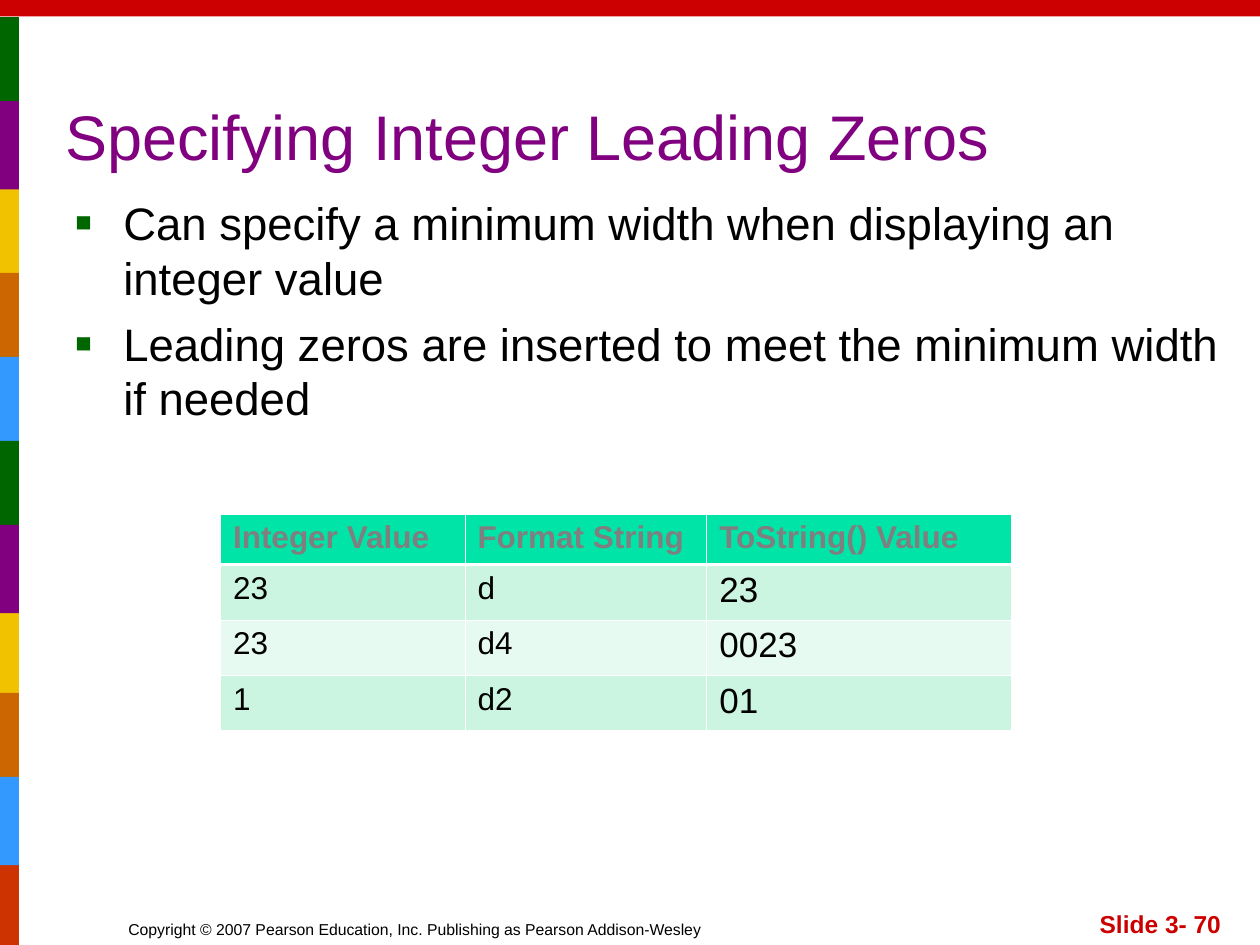
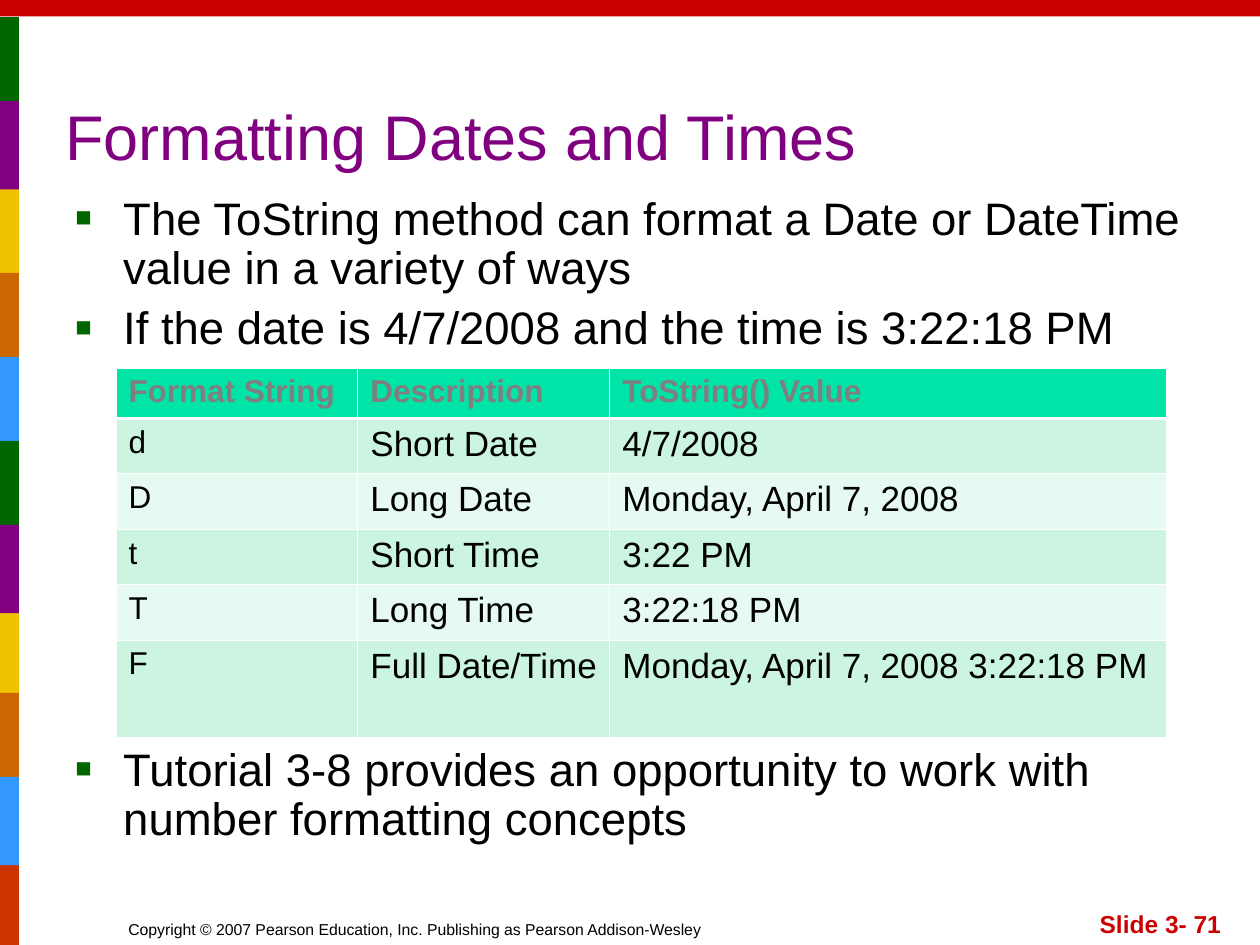
from dataclasses import dataclass
from lxml.etree import SubElement
from pptx import Presentation
from pptx.dml.color import RGBColor
from pptx.enum.shapes import MSO_SHAPE
from pptx.enum.text import MSO_ANCHOR, PP_ALIGN
from pptx.oxml.ns import qn
from pptx.util import Inches, Pt


@dataclass(frozen=True)
class Theme:
    font: str = "Arial"
    black: str = "000000"
    white: str = "FFFFFF"
    red: str = "CC0000"
    green: str = "006600"
    purple: str = "800080"
    yellow: str = "F0C200"
    brown: str = "CC6600"
    blue: str = "3399FF"
    orange: str = "CC3300"
    header_text: str = "7F7F7F"
    header_fill: str = "00E4A8"
    row_fills: tuple = ("CBF5E1", "E7FAF1")
    title_size: float = 36
    body_size: float = 26
    value_size: float = 20
    table_size: float = 18
    number_size: float = 14
    copyright_size: float = 9
    bullet_gap: float = 6.5
    thin_border: float = 0.45
    thick_border: float = 1.47


COPYRIGHT = "Copyright © 2007 Pearson Education, Inc. Publishing as Pearson Addison-Wesley"


def write(paragraph, text, *, theme, size, color, bold=False, align=PP_ALIGN.LEFT):
    paragraph.alignment = align
    run = paragraph.add_run()
    run.text = text
    run.font.name = theme.font
    run.font.size = Pt(size)
    run.font.bold = bold
    run.font.color.rgb = RGBColor.from_string(color)


def add_bullet(paragraph, color):
    properties = paragraph._p.get_or_add_pPr()
    properties.set("marL", str(Inches(0.38)))
    properties.set("indent", str(-Inches(0.38)))
    bullet_color = SubElement(properties, qn("a:buClr"))
    SubElement(bullet_color, qn("a:srgbClr"), val=color)
    SubElement(properties, qn("a:buSzPct"), val="60000")
    SubElement(properties, qn("a:buFont"), typeface="Arial")
    SubElement(properties, qn("a:buChar"), char="■")


def add_border(cell, side, width, color):
    line = SubElement(cell._tc.get_or_add_tcPr(), qn(f"a:ln{side}"), w=str(Pt(width)))
    fill = SubElement(line, qn("a:solidFill"))
    SubElement(fill, qn("a:srgbClr"), val=color)


class Deck:
    def __init__(self, theme):
        self.theme = theme
        self.presentation = Presentation()
        self.presentation.slide_width = Inches(10)
        self.presentation.slide_height = Inches(7.5)
        self.slide = None

    def add_slide(self, title, number):
        theme = self.theme
        self.slide = self.presentation.slides.add_slide(self.presentation.slide_layouts[6])
        self.add_label(COPYRIGHT, 0.92, 7, 4.92, 0.5,
                       size=theme.copyright_size, color=theme.black)
        self.add_band(0, 0, 10, 0.13, theme.red)
        self.add_side_strips()
        self.add_label(f"Slide 3- {number}", 7.71, 7, 2.08, 0.5, size=theme.number_size,
                       color=theme.red, bold=True, align=PP_ALIGN.RIGHT)
        self.add_label(title, 0.42, 0.33, 8.47, 1.09,
                       size=theme.title_size, color=theme.purple)

    def add_band(self, left, top, width, height, color):
        shape = self.slide.shapes.add_shape(
            MSO_SHAPE.RECTANGLE, Inches(left), Inches(top), Inches(width), Inches(height))
        shape.shadow.inherit = False
        shape.fill.solid()
        shape.fill.fore_color.rgb = RGBColor.from_string(color)
        shape.line.fill.background()

    def add_side_strips(self):
        theme = self.theme
        cycle = [theme.green, theme.purple, theme.yellow, theme.brown, theme.blue]
        strips = list(enumerate(cycle * 2 + [theme.orange]))
        underneath = (theme.yellow, theme.orange)
        for index, color in sorted(strips, key=lambda strip: strip[1] not in underneath):
            lift = 0.03 if index in (0, 1, 10) else 0
            self.add_band(0, 1 / 6 + index * 2 / 3 - lift, 0.15, 0.7, color)

    def add_text_frame(self, left, top, width, height):
        box = self.slide.shapes.add_textbox(
            Inches(left), Inches(top), Inches(width), Inches(height))
        box.text_frame.word_wrap = True
        return box.text_frame

    def add_label(self, text, left, top, width, height, **text_format):
        frame = self.add_text_frame(left, top, width, height)
        frame.vertical_anchor = MSO_ANCHOR.BOTTOM
        write(frame.paragraphs[0], text, theme=self.theme, **text_format)

    def add_bullets(self, items, width, height, line_height, gaps=None):
        theme = self.theme
        frame = self.add_text_frame(0.5, 1.5, width, height)
        frame.margin_right = 0
        for index, text in enumerate(items):
            paragraph = frame.add_paragraph() if index else frame.paragraphs[0]
            add_bullet(paragraph, theme.green)
            paragraph.line_spacing = Pt(line_height)
            if index:
                paragraph.space_before = Pt((gaps or {}).get(index, theme.bullet_gap))
            write(paragraph, text, theme=theme, size=theme.body_size, color=theme.black)

    def add_table(self, rows, left, top, column_widths, row_heights, small_columns):
        frame = self.slide.shapes.add_table(
            len(rows), len(column_widths), Inches(left), Inches(top),
            Inches(sum(column_widths)), Inches(sum(row_heights)))
        table = frame.table
        for column, width in zip(table.columns, column_widths):
            column.width = Inches(width)
        for row, height in zip(table.rows, row_heights):
            row.height = Inches(height)
        for row_index, values in enumerate(rows):
            for column_index, text in enumerate(values):
                self.fill_cell(table.cell(row_index, column_index), text, row_index,
                               column_index < small_columns)

    def fill_cell(self, cell, text, row_index, small):
        theme = self.theme
        header = row_index == 0
        thick_side = {0: "B", 1: "T"}.get(row_index)
        for side in "LRTB":
            width = theme.thick_border if side == thick_side else theme.thin_border
            add_border(cell, side, width, theme.white)
        fill = theme.header_fill if header else theme.row_fills[(row_index - 1) % 2]
        cell.fill.solid()
        cell.fill.fore_color.rgb = RGBColor.from_string(fill)
        write(cell.text_frame.paragraphs[0], text, theme=theme, bold=header,
              size=theme.table_size if header or small else theme.value_size,
              color=theme.header_text if header else theme.black)


def build_leading_zeros(deck):
    deck.add_slide("Specifying Integer Leading Zeros", 70)
    deck.add_bullets([
        "Can specify a minimum width when displaying an integer value",
        "Leading zeros are inserted to meet the minimum width if needed",
    ], 9.25, 2, line_height=31.2)
    deck.add_table([
        ("Integer Value", "Format String", "ToString() Value"),
        ("23", "d", "23"),
        ("23", "d4", "0023"),
        ("1", "d2", "01"),
    ], 1.75, 4.08, (1.94, 1.92, 2.42), [0.4] + [0.44] * 3, small_columns=2)


def build_dates_and_times(deck):
    deck.add_slide("Formatting Dates and Times", 71)
    deck.add_bullets([
        "The ToString method can format a Date or DateTime value in a variety of ways",
        "If the date is 4/7/2008 and the time is 3:22:18 PM",
        "Tutorial 3-8 provides an opportunity to work with number formatting concepts",
    ], 9.17, 5.67, line_height=28.1, gaps={2: 224})
    deck.add_table([
        ("Format String", "Description", "ToString() Value"),
        ("d", "Short Date", "4/7/2008"),
        ("D", "Long Date", "Monday, April 7, 2008"),
        ("t", "Short Time", "3:22 PM"),
        ("T", "Long Time", "3:22:18 PM"),
        ("F", "Full Date/Time", "Monday, April 7, 2008 3:22:18 PM"),
    ], 0.92, 2.92, (1.92, 2, 4.42), [0.4] + [0.44] * 4 + [0.77], small_columns=1)


def main():
    deck = Deck(Theme())
    build_leading_zeros(deck)
    build_dates_and_times(deck)
    deck.presentation.save("out.pptx")


if __name__ == "__main__":
    main()
